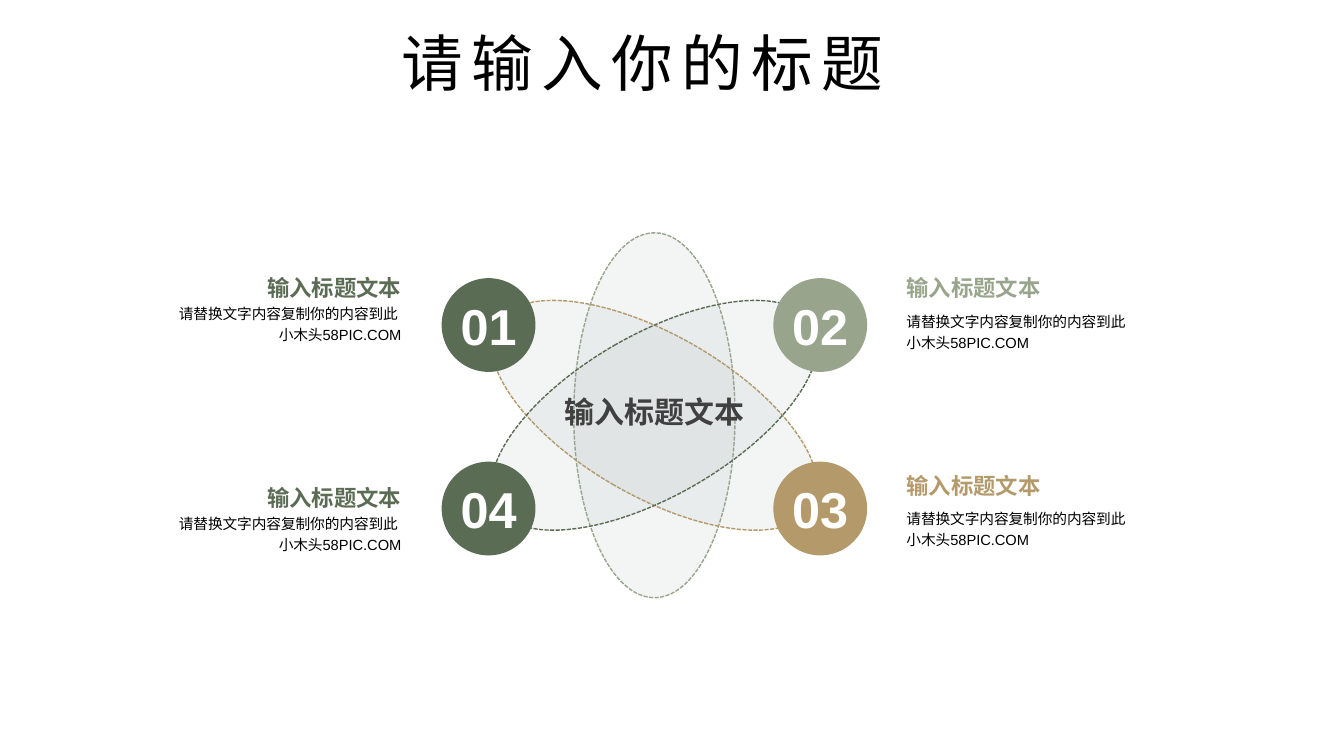
"""Build a slide of three crossed ellipses with four numbered captions."""
from pptx import Presentation
from pptx.dml.color import RGBColor
from pptx.enum.dml import MSO_LINE
from pptx.enum.shapes import MSO_SHAPE as SHAPE
from pptx.enum.text import MSO_ANCHOR as ANCHOR, MSO_AUTO_SIZE as AUTO, PP_ALIGN as ALIGN
from pptx.util import Inches, Pt
from lxml import etree

prs = Presentation()
prs.slide_width, prs.slide_height = Inches(13.33), Inches(7.5)
COL, ROW = prs.slide_width / 100, prs.slide_height / 100
GREEN, SAGE, GOLD, GREY = "5B6C54", "98A58C", "B49A6B", "92A4A4"
HEADING = "输入标题文本"
BODY = "请替换文字内容复制你的内容到此 \v小木头58PIC.COM"
INSET = Inches(0.39)


def box(x, y, w, h):
    """Turn percent shares of the slide into lengths."""
    return round(x * COL), round(y * ROW), round(w * COL), round(h * ROW)


def write(sp, text, size, color, align, bold=True, left=0, right=0, anchor=ANCHOR.MIDDLE, wrap=False):
    """Put one formatted paragraph into a shape."""
    tf = sp.text_frame
    tf.margin_left, tf.margin_right, tf.margin_top, tf.margin_bottom = left, right, 0, 0
    tf.vertical_anchor, tf.word_wrap = anchor, wrap
    p = tf.paragraphs[0]
    p.text, p.alignment = text, align
    f = p.font
    f.name, f.size, f.bold = "Arial", Pt(size), bold
    f.color.rgb = RGBColor.from_string(color)
    return p


s = prs.slides.add_slide(prs.slide_layouts[5])
title = s.shapes.title
title.left, title.top, title.width, title.height = box(26.33, 2.53, 42.91, 11.2)
p = write(title, "请输入你的标题", 44, "000000", ALIGN.CENTER, bold=False)
title.text_frame.auto_size = AUTO.NONE
r = p.runs[0]
r.font.name = "Noto Sans CJK SC"
rpr = r.font._element
rpr.set("spc", "600")
ns = rpr.nsmap["a"]
etree.SubElement(rpr, f"{{{ns}}}ea", typeface="Noto Sans CJK SC")

for angle, color in ((0, SAGE), (300, GOLD), (60, GREEN)):
    sp = s.shapes.add_shape(SHAPE.OVAL, *box(42.69, 30.8, 12, 48.27))
    sp.rotation, sp.shadow.inherit = angle, False
    sp.fill.solid()
    sp.fill.fore_color.rgb = RGBColor.from_string(GREY)
    tint = sp._element.spPr.find(f".//{{{ns}}}srgbClr")
    etree.SubElement(tint, f"{{{ns}}}alpha", val="10000")
    sp.line.color.rgb = RGBColor.from_string(color)
    sp.line.width, sp.line.dash_style = Pt(1), MSO_LINE.SQUARE_DOT

center = s.shapes.add_textbox(*box(41.94, 52, 13.5, 4.27))
write(center, HEADING, 21.4, "404040", ALIGN.CENTER, anchor=ANCHOR.TOP)

items = (
    ("01", GREEN, True, 36.8, 36.27),
    ("02", SAGE, False, 36.8, 36.27),
    ("03", GOLD, False, 61.07, 62.4),
    ("04", GREEN, True, 61.07, 64),
)
for number, color, on_left, disc_y, text_y in items:
    disc_x, text_x, head_w = (32.86, 8.93, 23.86) if on_left else (57.54, 64.52, 13.05)
    disc = s.shapes.add_shape(SHAPE.OVAL, *box(disc_x, disc_y, 6.98, 12.4))
    disc.shadow.inherit = False
    disc.fill.solid()
    disc.fill.fore_color.rgb = RGBColor.from_string(color)
    disc.line.fill.background()
    write(disc, number, 36, "FFFFFF", ALIGN.CENTER)

    align = ALIGN.RIGHT if on_left else ALIGN.LEFT
    side = {"right" if on_left else "left": INSET}
    heading = s.shapes.add_textbox(*box(text_x, text_y, head_w, 3.6))
    write(heading, HEADING, 16, color, align, **side)
    body = s.shapes.add_textbox(*box(text_x, text_y + 3.6, 23.86, 7.6))
    anchor = ANCHOR.TOP if on_left else ANCHOR.MIDDLE
    p = write(body, BODY, 10.5, "000000", align, bold=False, anchor=anchor, wrap=True, **side)
    p.line_spacing = 1.2

prs.save("out.pptx")
